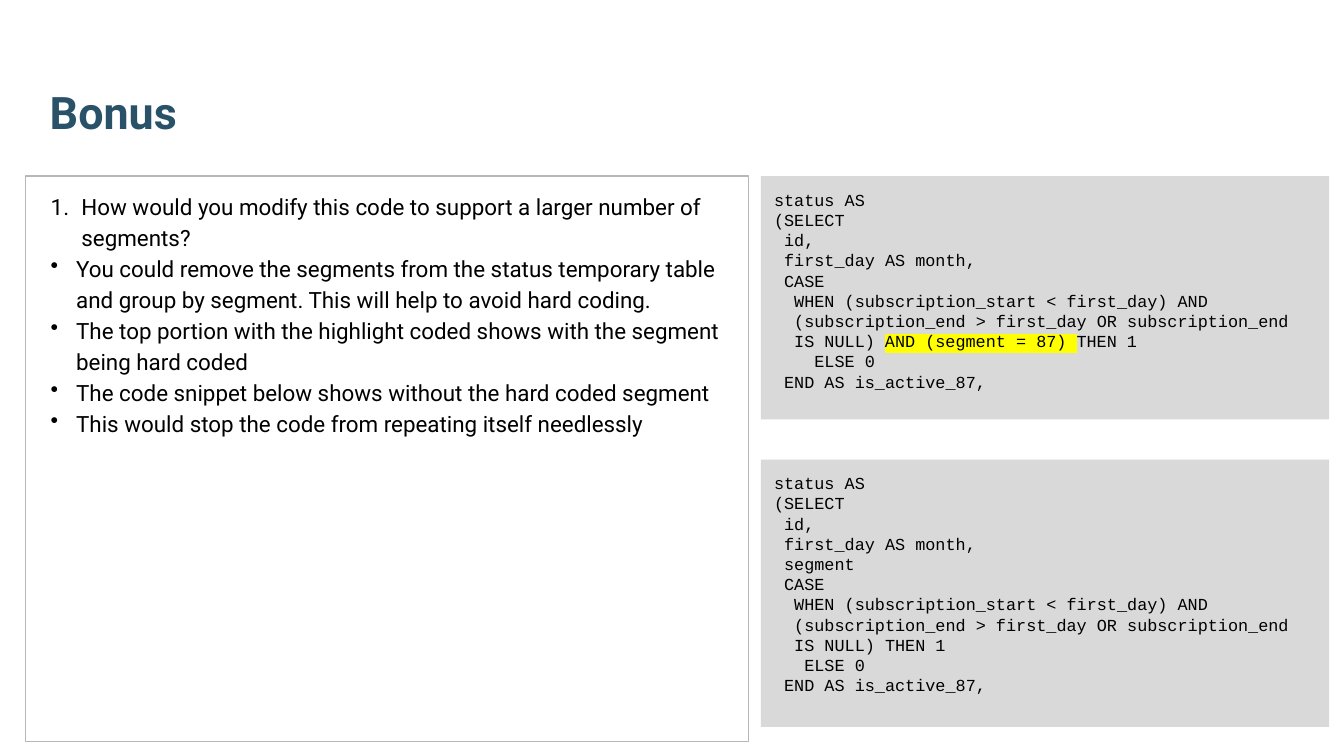
from lxml.etree import SubElement
from pptx import Presentation
from pptx.dml.color import RGBColor
from pptx.enum.shapes import MSO_SHAPE
from pptx.enum.text import MSO_ANCHOR, PP_ALIGN
from pptx.oxml import parse_xml
from pptx.oxml.ns import nsdecls, qn
from pptx.util import Cm, Pt

BLACK = RGBColor(0x00, 0x00, 0x00)
NAVY = RGBColor(0x29, 0x52, 0x69)
CODE_GREY = RGBColor(0xD9, 0xD9, 0xD9)
BORDER_GREY = RGBColor(0xB7, 0xB7, 0xB7)
YELLOW = RGBColor(0xFF, 0xFF, 0x00)

QUESTION = "How would you modify this code to support a larger number of segments?"
ANSWERS = [
    "You could remove the segments from the status temporary table and group by segment. "
    "This will help to avoid hard coding.",
    "The top portion with the highlight coded shows with the segment being hard coded",
    "The code snippet below shows without the hard coded segment",
    "This would stop the code from repeating itself needlessly",
]

SELECT_LINES = ["status AS", "(SELECT", " id,", " first_day AS month,"]
CASE_LINES = [
    " CASE",
    "  WHEN (subscription_start < first_day) AND",
    "  (subscription_end > first_day OR subscription_end",
]
END_LINE = " END AS is_active_87,"
HARD_CODED = "AND (segment = 87) "
HARD_CODED_QUERY = [
    *SELECT_LINES, *CASE_LINES, f"  IS NULL) {HARD_CODED}THEN 1", "    ELSE 0", END_LINE,
]
GROUPED_QUERY = [
    *SELECT_LINES, " segment", *CASE_LINES, "  IS NULL) THEN 1", "   ELSE 0", END_LINE,
]


class SlideWriter:
    text_font = "Roboto"
    code_font = "Courier New"
    inset = Cm(0.25)

    def __init__(self, slide):
        self.slide = slide

    def set_frame(self, box, anchor=MSO_ANCHOR.TOP, left_inset=None):
        frame = box.text_frame
        frame.word_wrap = True
        frame.vertical_anchor = anchor
        frame.margin_left = left_inset or self.inset
        frame.margin_right = frame.margin_top = frame.margin_bottom = self.inset
        return frame

    def add_paragraph(self, frame, first):
        para = frame.paragraphs[0] if first else frame.add_paragraph()
        para.alignment = PP_ALIGN.LEFT
        return para

    def add_span(self, para, text, size, font, color=BLACK, bold=False, highlight=None):
        span = para.add_run()
        span.text = text
        span.font.size = Pt(size)
        span.font.name = font
        span.font.bold = bold
        span.font.color.rgb = color
        if highlight is not None:
            marker = parse_xml(
                f'<a:highlight {nsdecls("a")}><a:srgbClr val="{highlight}"/></a:highlight>'
            )
            span.font._element.find(qn("a:solidFill")).addnext(marker)

    def add_title(self, text, left, top, width, height):
        box = self.slide.shapes.add_textbox(left, top, width, height)
        frame = self.set_frame(box, MSO_ANCHOR.BOTTOM)
        para = self.add_paragraph(frame, True)
        self.add_span(para, text, 24, self.text_font, NAVY, bold=True)

    def add_panel(self, left, top, width, height, fill=None, border=None):
        panel = self.slide.shapes.add_shape(MSO_SHAPE.RECTANGLE, left, top, width, height)
        panel.shadow.inherit = False
        if fill is None:
            panel.fill.background()
        else:
            panel.fill.solid()
            panel.fill.fore_color.rgb = fill
        if border is None:
            panel.line.fill.background()
        else:
            panel.line.color.rgb = border
            panel.line.width = Pt(0.75)
        return panel

    def set_marker(self, para, tag, attributes, margin, indent):
        """Give the paragraph a bullet or number with a hanging indent."""
        properties = para._p.get_or_add_pPr()
        properties.set("marL", str(margin))
        properties.set("indent", str(indent))
        color = SubElement(properties, qn("a:buClr"))
        SubElement(color, qn("a:srgbClr"), val=str(BLACK))
        SubElement(properties, qn(tag), **attributes)

    def add_answer_panel(self, question, answers, left, top, width, height):
        panel = self.add_panel(left, top, width, height, border=BORDER_GREY)
        frame = self.set_frame(panel, left_inset=Cm(0.48))
        for index, text in enumerate([question, *answers]):
            para = self.add_paragraph(frame, index == 0)
            if index == 0:
                self.set_marker(para, "a:buAutoNum", {"type": "arabicPeriod"}, Cm(0.58), Cm(-0.64))
            else:
                self.set_marker(para, "a:buChar", {"char": "•"}, Cm(0.48), Cm(-0.48))
            para.line_spacing = 1.15
            self.add_span(para, text, 12, self.text_font)

    def add_code_panel(self, lines, left, top, width, height):
        panel = self.add_panel(left, top, width, height, fill=CODE_GREY)
        frame = self.set_frame(panel)
        for index, line in enumerate(lines):
            para = self.add_paragraph(frame, index == 0)
            before, marked, after = line.partition(HARD_CODED)
            for text, highlight in ((before, None), (marked, YELLOW), (after, None)):
                if text:
                    self.add_span(para, text, 9, self.code_font, highlight=highlight)


def main():
    deck = Presentation()
    deck.slide_width, deck.slide_height = Cm(25.4), Cm(14.29)
    page = SlideWriter(deck.slides.add_slide(deck.slide_layouts[6]))

    content_top = Cm(3.33)
    code_left, code_width = Cm(14.38), Cm(10.74)
    page.add_title("Bonus", Cm(0.69), Cm(0.53), Cm(23.67), Cm(2.34))
    page.add_answer_panel(QUESTION, ANSWERS, Cm(0.48), content_top, Cm(13.67), Cm(10.69))
    page.add_code_panel(HARD_CODED_QUERY, code_left, content_top, code_width, Cm(4.6))
    page.add_code_panel(GROUPED_QUERY, code_left, Cm(8.69), code_width, Cm(5.05))
    deck.save("out.pptx")


if __name__ == "__main__":
    main()
